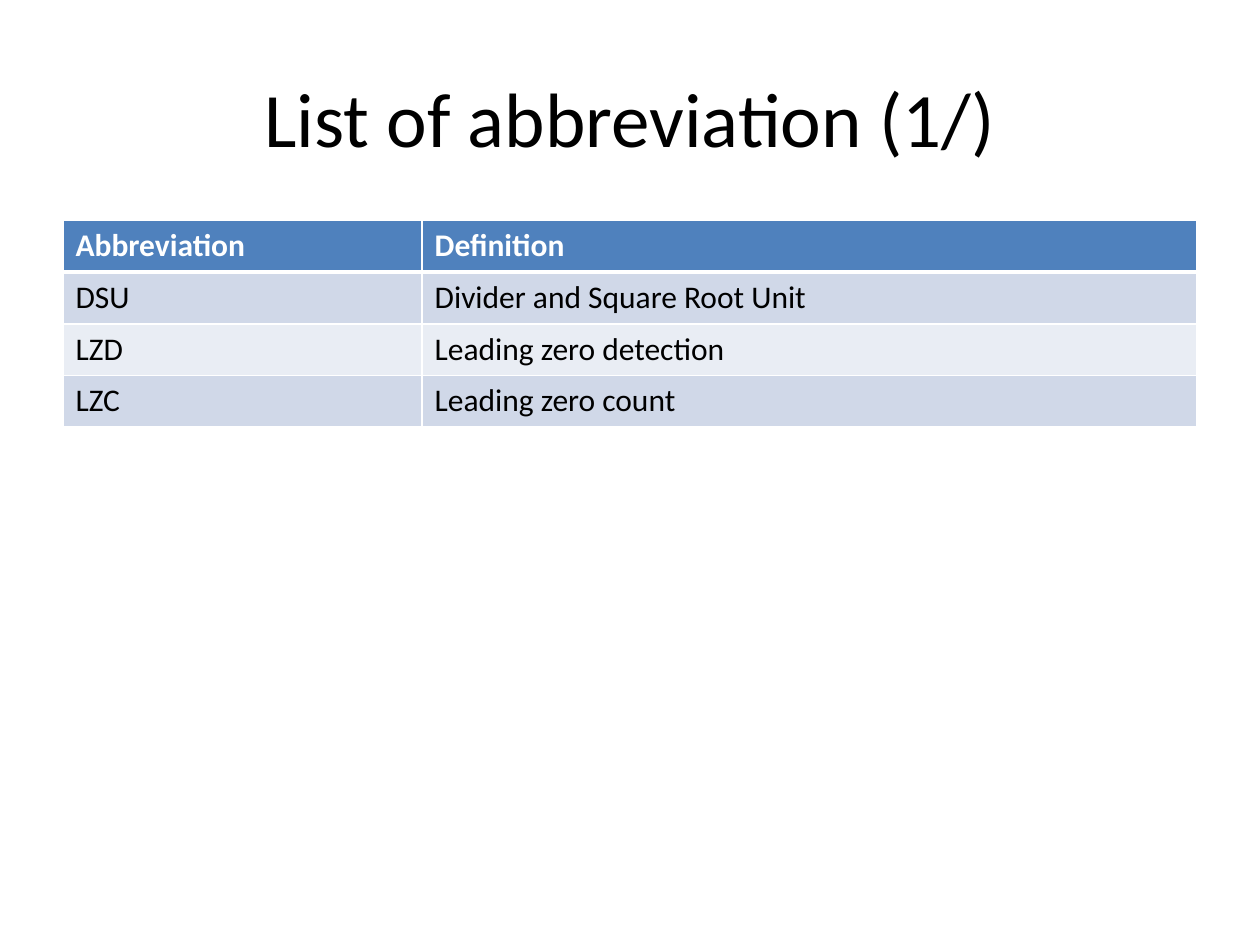
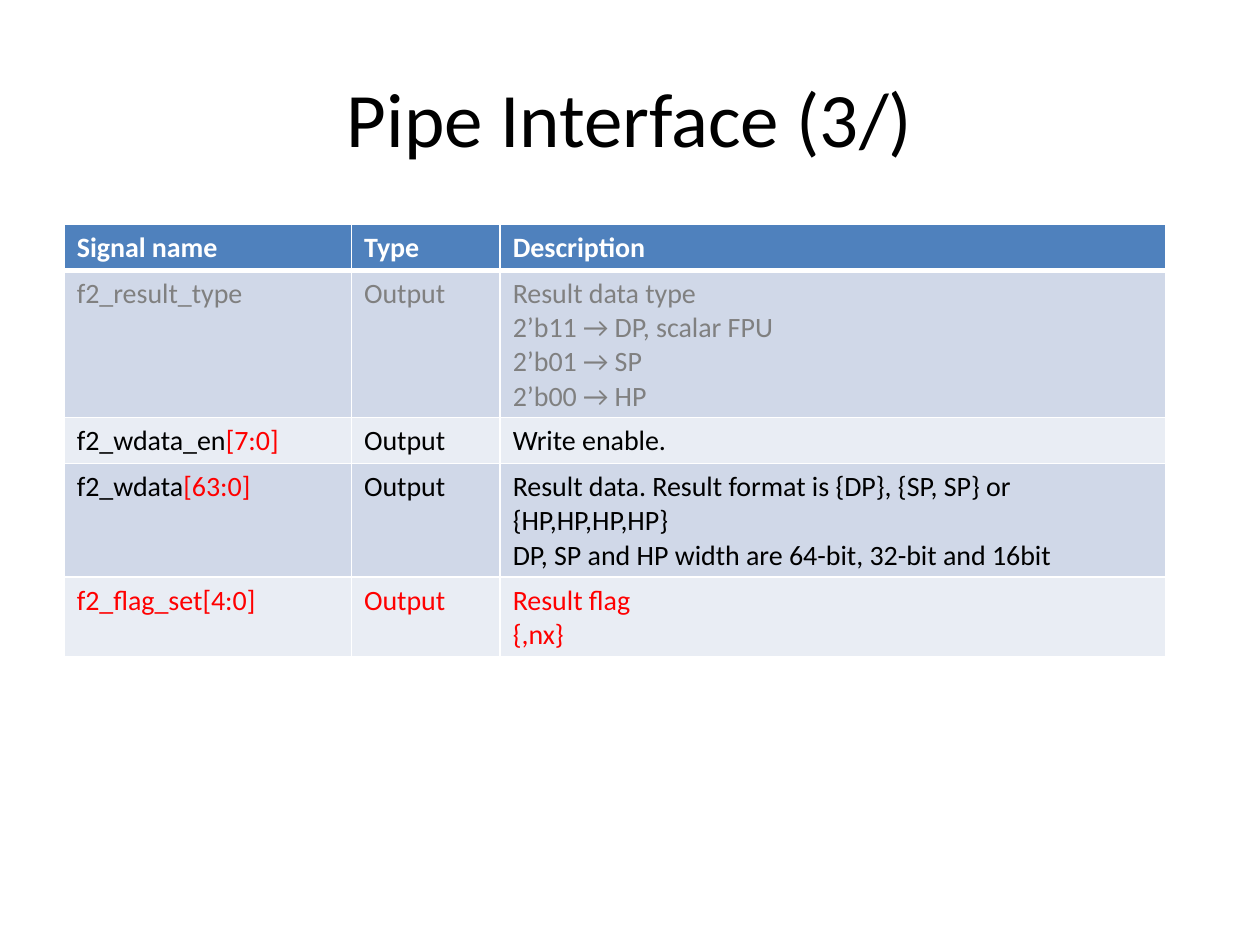
from lxml import etree
from pptx import Presentation
from pptx.dml.color import RGBColor
from pptx.enum.text import MSO_ANCHOR, PP_ALIGN
from pptx.oxml.ns import qn
from pptx.util import Inches, Pt

CENTER = PP_ALIGN.CENTER
MIDDLE = MSO_ANCHOR.MIDDLE
FONT = "Calibri"
COLORS = {
    "white": "FFFFFF",
    "black": "000000",
    "gray": "808080",
    "red": "FF0000",
    "header": "4F81BD",
    "odd_band": "D0D8E8",
    "even_band": "E9EDF4",
}
ACCENT_MARK = "|"

ABBREVIATIONS = [
    ("white", ["Abbreviation", "Definition"]),
    ("black", ["DSU", "Divider and Square Root Unit"]),
    ("black", ["LZD", "Leading zero detection"]),
    ("black", ["LZC", "Leading zero count"]),
]
SIGNALS = [
    ("white", ["Signal name", "Type", "Description"]),
    ("gray", ["f2_result_type", "Output",
              "Result data type\n2’b11 → DP, scalar FPU\n2’b01 → SP\n2’b00 → HP"]),
    ("black", ["f2_wdata_en|[7:0]", "Output", "Write enable."]),
    ("black", ["f2_wdata|[63:0]", "Output",
               "Result data. Result format is {DP}, {SP, SP} or {HP,HP,HP,HP}\n"
               "DP, SP and HP width are 64-bit, 32-bit and 16bit"]),
    ("red", ["f2_flag_set[4:0]", "Output", "Result flag\n{,nx}"]),
]


def rgb(color):
    return RGBColor.from_string(COLORS[color])


def format_span(span, size, color, bold=False):
    span.font.name = FONT
    span.font.size = Pt(size)
    span.font.bold = bold
    span.font.color.rgb = rgb(color)


def add_title(page, text):
    box = page.shapes.add_textbox(Inches(0.5), Inches(0.3), Inches(9), Inches(1.25))
    frame = box.text_frame
    frame.word_wrap = True
    frame.vertical_anchor = MIDDLE
    frame.text = text
    para = frame.paragraphs[0]
    para.alignment = CENTER
    format_span(para.runs[0], 44, "black")


def set_borders(cell, top, bottom):
    """Draw white cell borders; top and bottom widths are in points."""
    properties = cell._tc.get_or_add_tcPr()
    for side, width in (("L", 1), ("R", 1), ("T", top), ("B", bottom)):
        line = etree.SubElement(properties, qn(f"a:ln{side}"), w=str(Pt(width)))
        fill = etree.SubElement(line, qn("a:solidFill"))
        etree.SubElement(fill, qn("a:srgbClr"), val=COLORS["white"])


def fill_cell(cell, text, size, color, bold):
    """Write the text, with whatever follows the accent mark in red."""
    cell.text_frame.text = text
    for para in cell.text_frame.paragraphs:
        main, _, accent = para.text.partition(ACCENT_MARK)
        para.text = main
        format_span(para.runs[0], size, color, bold)
        if accent:
            span = para.add_run()
            span.text = accent
            format_span(span, size, "red", bold)


def add_banded_table(page, rows, left, top, widths, row_height, height, size):
    """Rows grow from row_height to fit their text; height is the full table."""
    frame = page.shapes.add_table(len(rows), len(widths), Inches(left), Inches(top),
                                  Inches(sum(widths)), Inches(height))
    table = frame.table
    for column, width in zip(table.columns, widths):
        column.width = Inches(width)
    for index, (color, texts) in enumerate(rows):
        table.rows[index].height = Inches(row_height)
        is_header = index == 0
        band = "header" if is_header else "odd_band" if index % 2 else "even_band"
        for cell, text in zip(table.rows[index].cells, texts):
            set_borders(cell, top=3 if index == 1 else 1, bottom=3 if is_header else 1)
            cell.fill.solid()
            cell.fill.fore_color.rgb = rgb(band)
            fill_cell(cell, text, size, color, is_header)
    frame.height = Inches(height)


def add_page(deck, title):
    page = deck.slides.add_slide(deck.slide_layouts[6])
    add_title(page, title)
    return page


def main():
    deck = Presentation()
    deck.slide_width = Inches(10)
    deck.slide_height = Inches(7.5)

    page = add_page(deck, "List of abbreviation (1/)")
    add_banded_table(page, ABBREVIATIONS, left=0.5, top=1.75, widths=[2.85, 6.15],
                     row_height=0.41, height=1.62, size=18)

    page = add_page(deck, "Pipe Interface (3/)")
    add_banded_table(page, SIGNALS, left=0.51, top=1.78, widths=[2.28, 1.18, 5.28],
                     row_height=0.25, height=3.43, size=16)

    deck.save("out.pptx")


if __name__ == "__main__":
    main()
